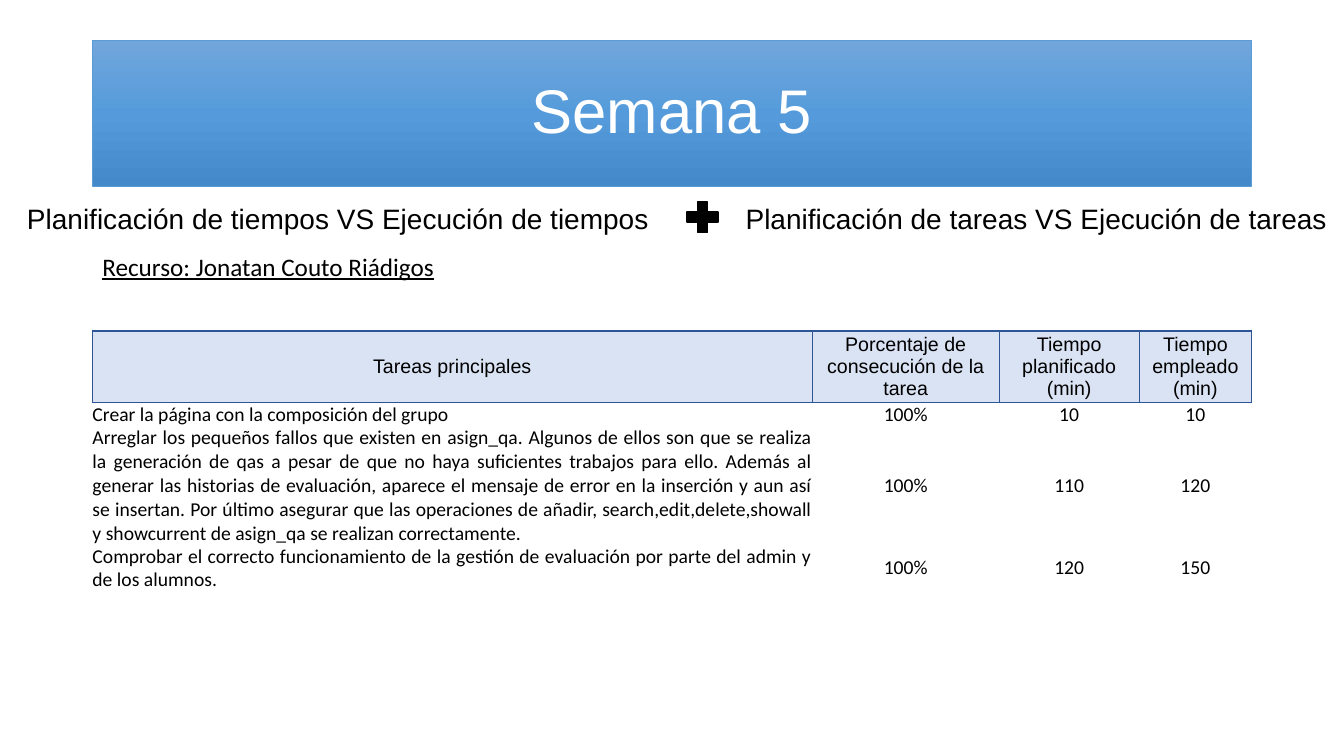
from copy import deepcopy

from lxml.etree import SubElement
from pptx import Presentation
from pptx.dml.color import RGBColor
from pptx.enum.shapes import MSO_SHAPE
from pptx.enum.text import MSO_ANCHOR, MSO_AUTO_SIZE, PP_ALIGN
from pptx.oxml.ns import qn
from pptx.util import Cm, Pt

COLORS = {
    "black": "000000",
    "white": "FFFFFF",
    "banner_top": "71A6DB",
    "banner_middle": "559BDB",
    "banner_bottom": "448ACA",
    "banner_line": "5B9BD5",
    "header_fill": "DAE3F3",
    "header_line": "2F5597",
}
NO_GRID_STYLE = "{2D5ABB26-0587-4C30-8999-92F81FD0307C}"
MARGIN, CONTENT_WIDTH = 2.33, 29.21

COLUMN_WIDTHS = [18.14, 4.71, 3.53, 2.83]
ROW_HEIGHTS = [1.8, 0.6, 2.98, 1.19]
TASKS = [
    ("Tareas principales", "Porcentaje de consecución de la tarea",
     "Tiempo planificado (min)", "Tiempo empleado (min)"),
    ("Crear la página con la composición del grupo", "100%", "10", "10"),
    ("Arreglar los pequeños fallos que existen en asign_qa. Algunos de ellos son que "
     "se realiza la generación de qas a pesar de que no haya suficientes trabajos para "
     "ello. Además al generar las historias de evaluación, aparece el mensaje de error "
     "en la inserción y aun así se insertan. Por último asegurar que las operaciones de "
     "añadir, search,edit,delete,showall y showcurrent de asign_qa se realizan "
     "correctamente.", "100%", "110", "120"),
    ("Comprobar el correcto funcionamiento de la gestión de evaluación por parte del "
     "admin y de los alumnos.", "100%", "120", "150"),
]


def rgb(name):
    return RGBColor.from_string(COLORS[name])


def add_text(frame, text, size, font, color="black", align=PP_ALIGN.LEFT, underline=None):
    paragraph = frame.paragraphs[0]
    paragraph.alignment = align
    run = paragraph.add_run()
    run.text = text
    run.font.size = Pt(size)
    run.font.name = font
    run.font.underline = underline
    run.font.color.rgb = rgb(color)
    return paragraph


def add_banner(slide, text):
    banner = slide.shapes.title
    banner.left, banner.top = Cm(MARGIN), Cm(1.02)
    banner.width, banner.height = Cm(CONTENT_WIDTH), Cm(3.68)

    # Three-stop vertical gradient
    banner.fill.gradient()
    banner.fill.gradient_angle = 270
    first = banner.fill.gradient_stops[0]._gs
    first.addnext(deepcopy(first))
    shades = ("banner_top", "banner_middle", "banner_bottom")
    for stop, position, shade in zip(banner.fill.gradient_stops, (0, 0.5, 1), shades):
        stop.position = position
        stop.color.rgb = rgb(shade)
    banner.line.color.rgb = rgb("banner_line")
    banner.line.width = Pt(0.5)

    banner.text_frame.auto_size = MSO_AUTO_SIZE.NONE
    banner.text_frame.vertical_anchor = MSO_ANCHOR.MIDDLE
    heading = add_text(banner.text_frame, text, 44, "Arial", "white", PP_ALIGN.CENTER)
    heading.line_spacing = 0.9


def add_label(slide, text, left, top, width, height, size, font, underline=None):
    label = slide.shapes.add_textbox(Cm(left), Cm(top), Cm(width), Cm(height))
    label.text_frame.word_wrap = True
    label.text_frame.auto_size = MSO_AUTO_SIZE.SHAPE_TO_FIT_TEXT
    add_text(label.text_frame, text, size, font, underline=underline)


def add_plus(slide):
    plus = slide.shapes.add_shape(MSO_SHAPE.MATH_PLUS, Cm(17.17), Cm(4.95), Cm(1.07), Cm(1.04))
    plus.shadow.inherit = False
    plus.fill.solid()
    plus.fill.fore_color.rgb = rgb("black")
    plus.line.color.rgb = rgb("black")
    plus.line.width = Pt(1)


def set_borders(cell, color):
    properties = cell._tc.get_or_add_tcPr()
    for side in ("a:lnL", "a:lnR", "a:lnT", "a:lnB"):
        border = SubElement(properties, qn(side), w=str(Pt(1)))
        fill = SubElement(border, qn("a:solidFill"))
        SubElement(fill, qn("a:srgbClr"), val=COLORS[color])


def fill_cell(cell, text, is_header, is_task):
    cell.margin_left = cell.margin_right = cell.margin_top = cell.margin_bottom = 0
    cell.vertical_anchor = MSO_ANCHOR.MIDDLE
    if is_header:
        set_borders(cell, "header_line")
        cell.fill.solid()
        cell.fill.fore_color.rgb = rgb("header_fill")
    else:
        cell.fill.background()
    align = PP_ALIGN.JUSTIFY if is_task and not is_header else PP_ALIGN.CENTER
    add_text(cell.text_frame, text, 14, "Arial" if is_header else "Calibri", align=align)


def add_task_table(slide):
    tasks = slide.shapes.add_table(
        len(TASKS), len(COLUMN_WIDTHS), Cm(MARGIN), Cm(8.34),
        Cm(CONTENT_WIDTH), Cm(sum(ROW_HEIGHTS))).table
    tasks.horz_banding = False
    tasks._tbl.tblPr.find(qn("a:tableStyleId")).text = NO_GRID_STYLE
    for column, width in zip(tasks.columns, COLUMN_WIDTHS):
        column.width = Cm(width)
    for row, height in zip(tasks.rows, ROW_HEIGHTS):
        row.height = Cm(height)
    for r, entries in enumerate(TASKS):
        for c, entry in enumerate(entries):
            fill_cell(tasks.cell(r, c), entry, r == 0, c == 0)
    tasks.cell(2, 0).vertical_anchor = MSO_ANCHOR.BOTTOM


def main():
    presentation = Presentation()
    presentation.slide_width, presentation.slide_height = Cm(33.87), Cm(19.05)
    slide = presentation.slides.add_slide(presentation.slide_layouts[5])

    # Heading
    add_banner(slide, "Semana 5")

    # Compared plans and the person in charge
    add_label(slide, "Recurso: Jonatan Couto Riádigos",
              MARGIN, 6.2, 9.32, 1.03, 18, "Calibri", underline=True)
    add_label(slide, "Planificación de tareas VS Ejecución de tareas",
              18.54, 4.95, 15.34, 1.11, 20, "Arial")
    add_label(slide, "Planificación de tiempos VS Ejecución de tiempos",
              0.43, 4.95, 16.43, 1.11, 20, "Arial")
    add_plus(slide)

    # Tasks of the week
    add_task_table(slide)

    presentation.save("out.pptx")


if __name__ == "__main__":
    main()
